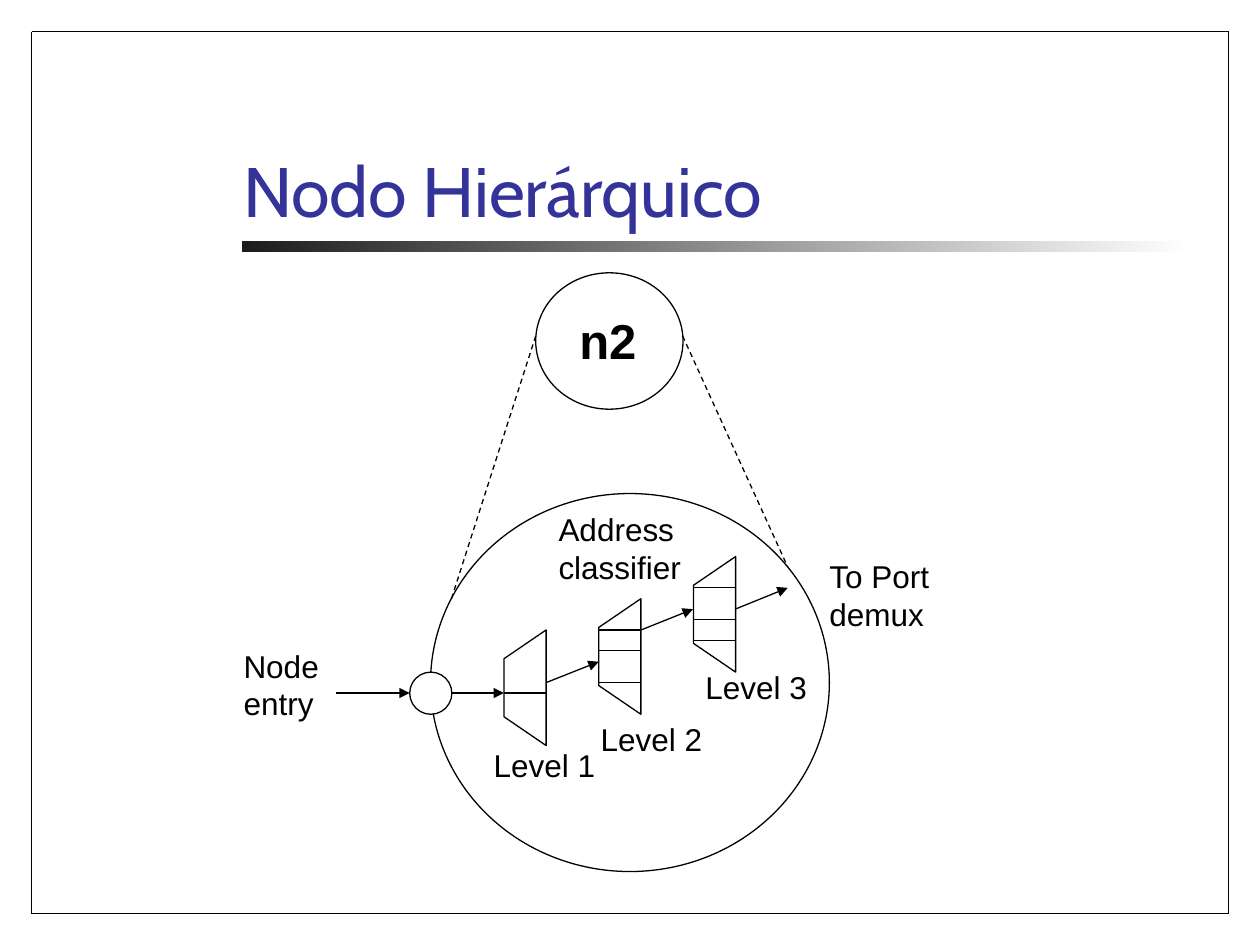
from dataclasses import dataclass

import pptx
import pptx.dml.color
import pptx.enum.dml
import pptx.enum.shapes
import pptx.enum.text
import pptx.oxml
import pptx.util
from pptx.util import Cm

RGBColor = pptx.dml.color.RGBColor
MSO_SHAPE = pptx.enum.shapes.MSO_SHAPE
MSO_ANCHOR = pptx.enum.text.MSO_ANCHOR

BLACK = RGBColor(0x00, 0x00, 0x00)
WHITE = RGBColor(0xFF, 0xFF, 0xFF)
CHARCOAL = RGBColor(0x1C, 0x1C, 0x1C)
INDIGO = RGBColor(0x33, 0x33, 0x99)

TITLE_FONT = dict(name="Cabin", size=pptx.util.Pt(40))
NODE_FONT = dict(name="Arial", size=pptx.util.Pt(28), bold=True)
LABEL_FONT = dict(name="Arial", size=pptx.util.Pt(18))

# All positions below are in centimetres.
STAGE_X, STAGE_PITCH = 10.16, 1.91
STAGE_W, STAGE_H, STAGE_SLANT = 0.85, 2.33, 0.58
ENTRY_Y = 13.97


@dataclass
class Line:
    x1: float
    y1: float
    x2: float
    y2: float
    arrow: bool = False
    dashed: bool = False


@dataclass
class Label:
    text: str
    x: float
    y: float
    w: float
    h: float


@dataclass
class Stage:
    """One level of the address classifier."""
    top: float
    dividers: tuple[float, ...]
    label: Label


FRAME_LEFT, FRAME_TOP, FRAME_RIGHT, FRAME_BOTTOM = 0.64, 0.64, 24.77, 18.42
FRAME = [
    Line(FRAME_LEFT, FRAME_TOP, FRAME_LEFT, FRAME_BOTTOM),
    Line(FRAME_RIGHT, FRAME_TOP, FRAME_RIGHT, FRAME_BOTTOM),
    Line(FRAME_LEFT, FRAME_BOTTOM, FRAME_RIGHT, FRAME_BOTTOM),
    Line(FRAME_LEFT, FRAME_TOP, FRAME_RIGHT, FRAME_TOP),
]
ZOOM_LINES = [
    Line(10.8, 6.77, 9.1, 12.07, dashed=True),
    Line(13.76, 6.77, 15.88, 11.43, dashed=True),
]
ARROWS = [
    Line(6.77, ENTRY_Y, 8.26, ENTRY_Y, arrow=True),
    Line(9.1, ENTRY_Y, 10.16, ENTRY_Y, arrow=True),
    Line(11.01, 13.76, 12.07, 13.34, arrow=True),
    Line(12.92, 12.7, 13.97, 12.28, arrow=True),
    Line(14.82, 12.28, 15.88, 11.85, arrow=True),
]
STAGES = [
    Stage(12.7, (13.97,), Label("Level 1", 9.7, 14.91, 2.7, 1.02)),
    Stage(12.07, (12.7, 13.12, 13.76), Label("Level 2", 11.86, 14.4, 2.7, 1.02)),
    Stage(11.22, (11.85, 12.49, 12.91), Label("Level 3", 13.97, 13.34, 2.7, 1.02)),
]
TITLE = Label("Nodo Hierárquico", 4.65, 1.61, 19.25, 3.18)
NODE_NAME = Label("n2", 11.43, 6.13, 1.8, 1.45)
LABELS = [
    Label("Node\nentry", 4.66, 12.91, 2.2, 1.78),
    Label("Address\nclassifier", 11.01, 10.16, 3.1, 1.78),
    Label("To Port\ndemux", 16.47, 11.1, 2.75, 1.78),
]


def set_outline(sp) -> None:
    sp.line.color.rgb = BLACK
    sp.line.width = pptx.util.Pt(0.75)


def add_line(s, line: Line) -> None:
    sp = s.shapes.add_connector(
        pptx.enum.shapes.MSO_CONNECTOR.STRAIGHT,
        Cm(line.x1), Cm(line.y1), Cm(line.x2), Cm(line.y2))
    set_outline(sp)
    if line.dashed:
        sp.line.dash_style = pptx.enum.dml.MSO_LINE.DASH
    if line.arrow:
        tail = pptx.oxml.parse_xml(
            '<a:tailEnd xmlns:a="http://schemas.openxmlformats.org/'
            'drawingml/2006/main" type="triangle"/>')
        sp.line._get_or_add_ln().append(tail)
    sp._element.spPr.append(pptx.oxml.parse_xml(
        '<a:effectLst xmlns:a="http://schemas.openxmlformats.org/'
        'drawingml/2006/main"/>'))


def add_ellipse(s, x: float, y: float, w: float, h: float, filled: bool = False) -> None:
    sp = s.shapes.add_shape(MSO_SHAPE.OVAL, Cm(x), Cm(y), Cm(w), Cm(h))
    sp.shadow.inherit = False
    if filled:
        sp.fill.solid()
        sp.fill.fore_color.rgb = WHITE
    else:
        sp.fill.background()
    set_outline(sp)


def add_label(s, label: Label, font: dict, color: RGBColor = BLACK,
              anchor: MSO_ANCHOR = MSO_ANCHOR.TOP) -> None:
    sp = s.shapes.add_textbox(Cm(label.x), Cm(label.y), Cm(label.w), Cm(label.h))
    tf = sp.text_frame
    tf.word_wrap = True
    tf.vertical_anchor = anchor
    tf.text = label.text
    for p in tf.paragraphs:
        for r in p.runs:
            for key, value in font.items():
                setattr(r.font, key, value)
            r.font.color.rgb = color


def add_title_bar(s) -> None:
    sp = s.shapes.add_shape(MSO_SHAPE.RECTANGLE, Cm(4.87), Cm(4.85), Cm(19.13), Cm(0.23))
    sp.shadow.inherit = False
    sp.line.fill.background()
    sp.fill.gradient()
    sp.fill.gradient_angle = 180
    for stop, color in zip(sp.fill.gradient_stops, (WHITE, CHARCOAL)):
        stop.color.rgb = color


def add_stage(s, stage: Stage, left: float) -> None:
    right, bottom = left + STAGE_W, stage.top + STAGE_H
    outline = s.shapes.build_freeform(Cm(right), Cm(stage.top))
    outline.add_line_segments([
        (Cm(right), Cm(bottom)),
        (Cm(left), Cm(bottom - STAGE_SLANT)),
        (Cm(left), Cm(stage.top + STAGE_SLANT)),
    ], close=True)
    sp = outline.convert_to_shape()
    sp.shadow.inherit = False
    sp.fill.background()
    set_outline(sp)
    for y in stage.dividers:
        add_line(s, Line(left, y, right, y))
    add_label(s, stage.label, LABEL_FONT)


def main() -> None:
    prs = pptx.Presentation()
    prs.slide_width, prs.slide_height = Cm(25.4), Cm(19.05)
    s = prs.slides.add_slide(prs.slide_layouts[6])

    add_title_bar(s)
    for line in FRAME:
        add_line(s, line)
    add_label(s, TITLE, TITLE_FONT, INDIGO, MSO_ANCHOR.BOTTOM)

    add_ellipse(s, 10.8, 5.5, 2.97, 2.75)
    add_label(s, NODE_NAME, NODE_FONT)
    add_ellipse(s, 8.68, 9.95, 8.04, 7.62)

    for i, stage in enumerate(STAGES):
        add_stage(s, stage, STAGE_X + i * STAGE_PITCH)
    for line in ZOOM_LINES + ARROWS:
        add_line(s, line)
    for label in LABELS:
        add_label(s, label, LABEL_FONT)
    add_ellipse(s, 8.26, 13.55, 0.85, 0.85, filled=True)

    prs.save("out.pptx")


if __name__ == "__main__":
    main()
